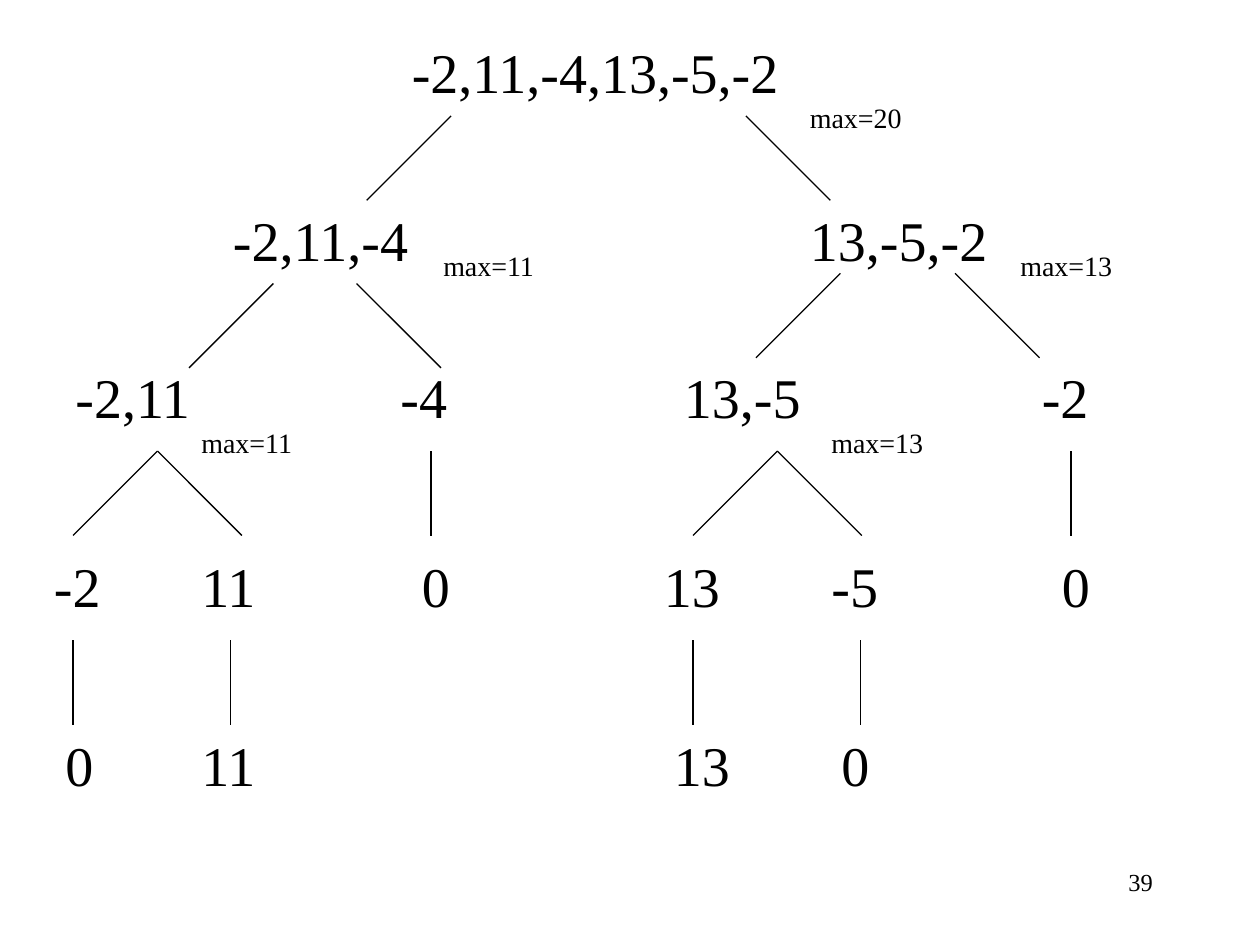
from pptx import Presentation
from pptx.dml.color import RGBColor
from pptx.enum.shapes import MSO_CONNECTOR
from pptx.enum.text import MSO_AUTO_SIZE, PP_ALIGN
from pptx.oxml.ns import qn
from pptx.util import Inches, Pt
from lxml import etree

LINE = MSO_CONNECTOR.STRAIGHT
GROW = MSO_AUTO_SIZE.SHAPE_TO_FIT_TEXT
FIXED = MSO_AUTO_SIZE.NONE
LEFT, RIGHT = PP_ALIGN.LEFT, PP_ALIGN.RIGHT

COLORS = {"ink": "000000", "paper": "FFFFFF"}
FONT = "Times New Roman"
STEP = 0.67  # reach of every branch, across and down
NODE_ROWS = (0, 1.25, 2.75, 4.17)  # node tops within a subtree
LABEL_ROWS = (0.34, 1.75)
STEM_ROWS = (2, 3.5)
WIDTHS = {"0": 0.42, "-2": 0.57, "-4": 0.57, "-5": 0.57, "11": 0.65, "13": 0.65,
          "-2,11": 1.13, "13,-5": 1.13, "-2,11,-4": 1.61, "13,-5,-2": 1.61}

# Each subtree: rows of (x, text), (x, max label), fork starts, stem x per row
LEFT_TREE = {
    "nodes": [[(1.42, "-2,11,-4")], [(0.17, "-2,11"), (2.75, "-4")],
              [(0, "-2"), (1.17, "11"), (2.92, "0")], [(0.09, "0"), (1.17, "11")]],
    "labels": [(3.09, "max=11"), (1.17, "max=11")],
    "forks": [(1.84, 2.5, 0.67), (0.92, 0.92, 2)],
    "stems": [[3.09], [0.25, 1.5]],
}
RIGHT_TREE = {
    "nodes": [[(1.16, "13,-5,-2")], [(0.16, "13,-5"), (3, "-2")],
              [(0, "13"), (1.33, "-5"), (3.16, "0")], [(0.08, "13"), (1.41, "0")]],
    "labels": [(2.83, "max=13"), (1.33, "max=13")],
    "forks": [(1.5, 2.41, 0.59), (1, 1, 2)],
    "stems": [[3.33], [0.33, 1.66]],
}


def add_text(s, x, y, w, h, text, size, align=LEFT, grow=True):
    """Place one line of text in a box."""
    sp = s.shapes.add_textbox(Inches(x), Inches(y), Inches(w), Inches(h))
    tf = sp.text_frame
    tf.word_wrap = not grow
    tf.auto_size = GROW if grow else FIXED
    p = tf.paragraphs[0]
    p.alignment = align
    r = p.add_run()
    r.text = text
    r.font.name = FONT
    r.font.size = Pt(size)
    r.font.color.rgb = RGBColor.from_string(COLORS["ink"])


def add_node(s, x, y, text, w):
    """Place a list of numbers as a tree node."""
    add_text(s, x, y, w, 0.63, text, 32)


def add_label(s, x, y, text):
    """Place a small maximum label."""
    add_text(s, x, y, 0.93, 0.37, text, 16)


def add_branch(s, x, y, side):
    """Draw a branch down to the left (-1), straight (0) or right (1)."""
    c = s.shapes.add_connector(LINE, Inches(x), Inches(y),
                               Inches(x + side * STEP), Inches(y + STEP))
    c.line.color.rgb = RGBColor.from_string(COLORS["ink"])
    c.line.width = Pt(0.75)
    etree.SubElement(c._element.spPr, qn("a:effectLst"))


def add_fork(s, x_left, x_right, y):
    """Draw a pair of branches going apart."""
    add_branch(s, x_left, y, -1)
    add_branch(s, x_right, y, 1)


def add_root(s, x, y):
    """Draw the root node, its label and its fork."""
    add_node(s, x, y, "-2,11,-4,13,-5,-2", 3.12)
    add_label(s, x + 3.16, y + 0.5, "max=20")
    add_fork(s, x + 0.41, x + 2.75, y + 0.67)


def add_subtree(s, x, y, tree):
    """Draw one half of the tree from its top left corner."""
    for dy, row in zip(NODE_ROWS, tree["nodes"]):
        for dx, text in row:
            add_node(s, x + dx, y + dy, text, WIDTHS[text])
    for dy, (dx, text) in zip(LABEL_ROWS, tree["labels"]):
        add_label(s, x + dx, y + dy, text)
    for x_left, x_right, dy in tree["forks"]:
        add_fork(s, x + x_left, x + x_right, y + dy)
    for dy, stems in zip(STEM_ROWS, tree["stems"]):
        for dx in stems:
            add_branch(s, x + dx, y + dy, 0)


def build_slide(prs):
    """Build the divide-and-conquer tree slide."""
    s = prs.slides.add_slide(prs.slide_layouts[6])
    s.background.fill.solid()
    s.background.fill.fore_color.rgb = RGBColor.from_string(COLORS["paper"])
    add_root(s, 3.17, 0.25)
    add_subtree(s, 0.33, 1.58, LEFT_TREE)
    add_subtree(s, 5.17, 1.58, RIGHT_TREE)
    add_text(s, 7.42, 6.83, 1.83, 0.5, "39", 14, RIGHT, grow=False)


prs = Presentation()
prs.slide_width, prs.slide_height = Inches(10), Inches(7.5)
build_slide(prs)
prs.save("out.pptx")
